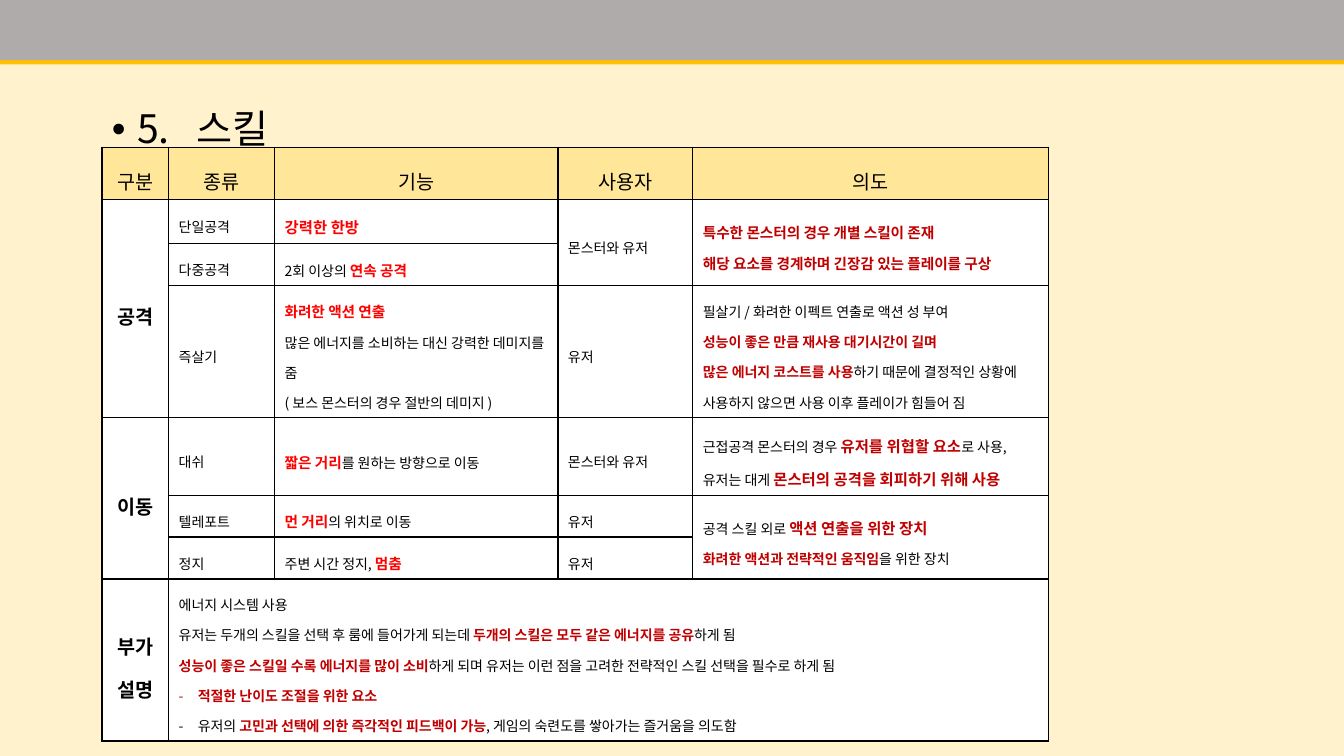
from lxml import etree
from pptx import Presentation
from pptx.dml.color import RGBColor
from pptx.enum.shapes import MSO_SHAPE
from pptx.enum.text import MSO_ANCHOR, PP_ALIGN
from pptx.oxml.ns import qn
from pptx.util import Cm, Pt

RECTANGLE = MSO_SHAPE.RECTANGLE
MIDDLE = MSO_ANCHOR.MIDDLE
CENTER, LEFT = PP_ALIGN.CENTER, PP_ALIGN.LEFT

FONT, BULLET_FONT = "Noto Sans CJK KR", "Arial"
BLACK, RED, CRIMSON = "000000", "FF0000", "C00000"
BACKGROUND, BAND, GOLD = "FFF2CC", "AFABAB", "FFC000"
HEADER_FILL, BODY_FILL = "FFE699", "FFFFFF"

TITLE = "5.\t스킬"
HEADERS = ["구분", "종류", "기능", "사용자", "의도"]

STYLES = {
    "title": dict(size=28),
    "header": dict(size=14),
    "group": dict(size=14, bold=True),
    "plain": dict(size=10),
    "red": dict(size=10.5, color=RED, bold=True),
    "red large": dict(size=11, color=RED, bold=True),
    "key": dict(size=10, color=CRIMSON, bold=True),
    "key medium": dict(size=10.5, color=CRIMSON, bold=True),
    "key large": dict(size=11, color=CRIMSON, bold=True),
}


def plain(text):
    return [[(text, "plain")]]


def group(text):
    return [[(text, "group")]]


BODY = [
    [group("공격"), plain("단일공격"), [[("강력한 한방", "red large")]], plain("몬스터와 유저"),
     [[("특수한 몬스터의 경우 개별 스킬이 존재", "key medium")],
      [("해당 요소를 경계하며 긴장감 있는 플레이를 구상", "key medium")]]],
    [None, plain("다중공격"), [[("2회 이상의 ", "plain"), ("연속 공격", "red")]], None, None],
    [None, plain("즉살기"),
     [[("화려한 액션 연출", "red")],
      [("많은 에너지를 소비하는 대신 강력한 데미지를 줌", "plain")],
      [("( 보스 몬스터의 경우 절반의 데미지 )", "plain")]],
     plain("유저"),
     [[("필살기 / 화려한 이펙트 연출로 액션 성 부여", "plain")],
      [("성능이 좋은 만큼 재사용 대기시간이 길며", "key")],
      [("많은 에너지 코스트를 사용", "key"),
       ("하기 때문에 결정적인 상황에 사용하지 않으면 사용 이후 플레이가 힘들어 짐", "plain")]]],
    [group("이동"), plain("대쉬"),
     [[("짧은 거리", "red"), ("를 원하는 방향으로 이동", "plain")]], plain("몬스터와 유저"),
     [[("근접공격 몬스터의 경우 ", "plain"), ("유저를 위협할 요소", "key large"),
       ("로 사용, 유저는 대게 ", "plain"), ("몬스터의 공격을 회피하기 위해 사용", "key large")]]],
    [None, plain("텔레포트"), [[("먼 거리", "red"), ("의 위치로 이동", "plain")]], plain("유저"),
     [[("공격 스킬 외로 ", "plain"), ("액션 연출을 위한 장치", "key large")],
      [("화려한 액션과 전략적인 움직임", "key"), ("을 위한 장치", "plain")]]],
    [None, plain("정지"), [[("주변 시간 정지, ", "plain"), ("멈춤", "red")]], plain("유저"), None],
    [group("부가\n설명"),
     [[("에너지 시스템 사용", "plain")],
      [("유저는 두개의 스킬을 선택 후 룸에 들어가게 되는데 ", "plain"),
       ("두개의 스킬은 모두 같은 에너지를 공유", "key"), ("하게 됨", "plain")],
      [("성능이 좋은 스킬일 수록 에너지를 많이 소비", "key"),
       ("하게 되며 유저는 이런 점을 고려한 전략적인 스킬 선택을 필수로 하게 됨", "plain")],
      ["-", ("적절한 난이도 조절을 위한 요소", "key")],
      ["-", ("유저의 ", "plain"), ("고민과 선택에 의한 즉각적인 피드백이 가능", "key"),
       (", 게임의 숙련도를 쌓아가는 즐거움을 의도함", "plain")]],
     None, None, None],
]
ROWS = [[[[(header, "header")]] for header in HEADERS]] + BODY
MERGES = [((1, 0), (3, 0)), ((1, 3), (2, 3)), ((1, 4), (2, 4)),
          ((4, 0), (6, 0)), ((5, 4), (6, 4)), ((7, 1), (7, 4))]

SLIDE_WIDTH, SLIDE_HEIGHT = 33.87, 19.05
BAND_HEIGHT = 1.52
LEFT_EDGE, CONTENT_WIDTH = 2.57, 23.86
TITLE_TOP, TITLE_HEIGHT, TITLE_TAB = 2.64, 0.81, 2.13
TABLE_TOP = 3.71
COLUMN_WIDTHS = [1.68, 2.67, 7.14, 3.4, 8.97]
ROW_HEIGHTS = [1.31, 1.11, 1.06, 3.34, 1.95, 1.05, 1.06, 4.08]


def rgb(color):
    return RGBColor.from_string(color)


def paint(fill, color):
    fill.solid()
    fill.fore_color.rgb = rgb(color)


def add_child(parent, tag, **attributes):
    child = etree.SubElement(parent, qn(tag))
    for name, value in attributes.items():
        child.set(name, str(value))
    return child


def add_text(paragraph, text, size=10, color=BLACK, bold=False):
    for index, line in enumerate(text.split("\n")):
        if index:
            paragraph.add_line_break()
        run = paragraph.add_run()
        run.text = line
        run.font.size = Pt(size)
        run.font.bold = bold
        run.font.name = FONT
        run.font.color.rgb = rgb(color)
        run.font._element.set("kern", "0")
        add_child(run.font._element, "a:ea", typeface=FONT)


def add_bullet(paragraph, character, indent, font=FONT, tab=None):
    properties = paragraph._p.get_or_add_pPr()
    properties.set("marL", str(Cm(indent)))
    properties.set("indent", str(-Cm(indent)))
    add_child(properties, "a:buFont", typeface=font)
    add_child(properties, "a:buChar", char=character)
    if tab:
        tabs = add_child(properties, "a:tabLst")
        add_child(tabs, "a:tab", pos=Cm(tab), algn="l")


def fill_cell(cell, paragraphs, alignment):
    cell.vertical_anchor = MIDDLE
    for index, runs in enumerate(paragraphs):
        frame = cell.text_frame
        paragraph = frame.add_paragraph() if index else frame.paragraphs[0]
        paragraph.alignment = alignment
        paragraph.line_spacing = 1.5
        if isinstance(runs[0], str):
            add_bullet(paragraph, runs[0], 0.48)
            runs = runs[1:]
        for text, style in runs:
            add_text(paragraph, text, **STYLES[style])


def add_borders(cell):
    properties = cell._tc.get_or_add_tcPr()
    for index, side in enumerate(("a:lnL", "a:lnR", "a:lnT", "a:lnB")):
        line = etree.Element(qn(side), w=str(Pt(1)))
        add_child(add_child(line, "a:solidFill"), "a:srgbClr", val=BLACK)
        properties.insert(index, line)


def add_band(slide):
    band = slide.shapes.add_shape(RECTANGLE, 0, 0, Cm(SLIDE_WIDTH), Cm(BAND_HEIGHT))
    paint(band.fill, BAND)
    band.line.fill.background()
    band.shadow.inherit = False
    effects = band._element.spPr.find(qn("a:effectLst"))
    shadow = add_child(effects, "a:outerShdw", blurRad=0, dist=Pt(3),
                       dir=5400000, algn="t", rotWithShape=0)
    add_child(shadow, "a:srgbClr", val=GOLD)


def add_title(slide):
    box = slide.shapes.add_textbox(Cm(LEFT_EDGE), Cm(TITLE_TOP), Cm(CONTENT_WIDTH), Cm(TITLE_HEIGHT))
    box.text_frame.word_wrap = True
    paragraph = box.text_frame.paragraphs[0]
    paragraph.line_spacing = 0.9
    add_bullet(paragraph, "•", 0.64, BULLET_FONT, TITLE_TAB)
    add_text(paragraph, TITLE, **STYLES["title"])


def add_skill_table(slide):
    frame = slide.shapes.add_table(len(ROWS), len(HEADERS), Cm(LEFT_EDGE), Cm(TABLE_TOP),
                                   Cm(CONTENT_WIDTH), Cm(sum(ROW_HEIGHTS)))
    table = frame.table
    table.first_row = table.horz_banding = False
    for column, width in zip(table.columns, COLUMN_WIDTHS):
        column.width = Cm(width)
    for row, height in zip(table.rows, ROW_HEIGHTS):
        row.height = Cm(height)
    for start, end in MERGES:
        table.cell(*start).merge(table.cell(*end))
    for row_index, row in enumerate(ROWS):
        for column_index, paragraphs in enumerate(row):
            cell = table.cell(row_index, column_index)
            paint(cell.fill, BODY_FILL if row_index else HEADER_FILL)
            add_borders(cell)
            centered = row_index == 0 or column_index == 0
            fill_cell(cell, paragraphs or [], CENTER if centered else LEFT)


def main():
    presentation = Presentation()
    presentation.slide_width = Cm(SLIDE_WIDTH)
    presentation.slide_height = Cm(SLIDE_HEIGHT)
    slide = presentation.slides.add_slide(presentation.slide_layouts[6])
    paint(slide.background.fill, BACKGROUND)
    add_band(slide)
    add_title(slide)
    add_skill_table(slide)
    presentation.save("out.pptx")


if __name__ == "__main__":
    main()
